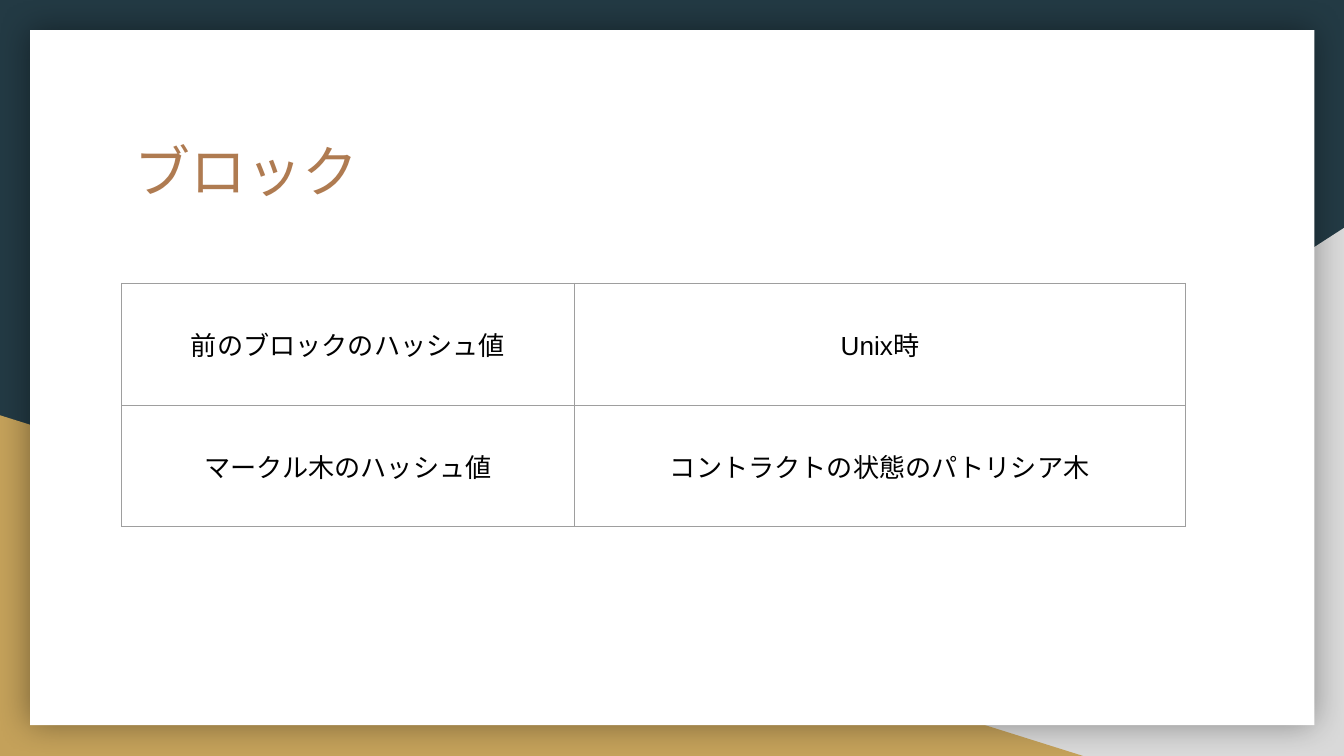
from dataclasses import dataclass

from lxml import etree
from pptx import Presentation
from pptx.dml.color import RGBColor
from pptx.enum.shapes import MSO_SHAPE
from pptx.enum.text import MSO_ANCHOR, PP_ALIGN
from pptx.oxml import parse_xml
from pptx.oxml.ns import nsdecls, qn
from pptx.shapes.autoshape import Shape
from pptx.slide import Slide
from pptx.table import _Cell
from pptx.util import Cm, Pt

RECT = MSO_SHAPE.RECTANGLE
WEDGE = MSO_SHAPE.RIGHT_TRIANGLE
TOP, MIDDLE = MSO_ANCHOR.TOP, MSO_ANCHOR.MIDDLE
CENTER = PP_ALIGN.CENTER

COLORS = {
    "navy": "233A44",
    "gray": "D9D9D9",
    "gold": "C4A15A",
    "white": "FFFFFF",
    "brown": "AF7B51",
    "black": "000000",
    "rule": "9E9E9E",
}
WIDE, HIGH = 25.4, 14.29
INSET = Cm(0.25)
COLS = (8.56, 11.54)
ROW = 2.3
CELLS = (
    ("前のブロックのハッシュ値", "Unix時"),
    ("マークル木のハッシュ値", "コントラクトの状態のパトリシア木"),
)


@dataclass
class Panel:
    kind: MSO_SHAPE
    left: float
    top: float
    width: float
    height: float
    color: str
    flip: bool = False
    glow: bool = False


PANELS = (
    Panel(WEDGE, 9.96, 4.31, 15.44, 9.98, "gray", flip=True),
    Panel(WEDGE, 0, 7.85, 20.47, 6.44, "gold"),
    Panel(RECT, 0.57, 0.57, 24.27, 13.14, "white", glow=True),
)


def rgb(name: str) -> RGBColor:
    return RGBColor.from_string(COLORS[name])


def add_glow(shape: Shape) -> None:
    """Put a soft, even shadow around the shape."""
    effects = shape._element.spPr.find(qn("a:effectLst"))
    effects.append(parse_xml(
        f'<a:outerShdw {nsdecls("a")} blurRad="{Pt(18)}" dist="0" dir="0" '
        f'algn="ctr" rotWithShape="0"><a:srgbClr val="{COLORS["black"]}">'
        '<a:alpha val="40000"/></a:srgbClr></a:outerShdw>'))


def draw_panel(slide: Slide, panel: Panel) -> None:
    shape = slide.shapes.add_shape(
        panel.kind, Cm(panel.left), Cm(panel.top), Cm(panel.width), Cm(panel.height))
    shape.shadow.inherit = False
    shape.fill.solid()
    shape.fill.fore_color.rgb = rgb(panel.color)
    shape.line.fill.background()
    if panel.flip:
        shape._element.spPr.find(qn("a:xfrm")).set("flipH", "1")
    if panel.glow:
        add_glow(shape)


def draw_title(slide: Slide, text: str) -> None:
    frame = slide.shapes.add_textbox(Cm(2.29), Cm(2.34), Cm(20.85), Cm(2.64)).text_frame
    frame.word_wrap = True
    frame.vertical_anchor = TOP
    frame.margin_left = frame.margin_right = INSET
    frame.margin_top = frame.margin_bottom = INSET
    line = frame.paragraphs[0]
    line.text = text
    line.font.name, line.font.size = "TeX Gyre Adventor", Pt(30)
    line.font.color.rgb = rgb("brown")


def add_rules(cell: _Cell) -> None:
    """Rule all four sides of the cell."""
    props = cell._tc.get_or_add_tcPr()
    for side in ("lnL", "lnR", "lnT", "lnB"):
        rule = etree.SubElement(props, qn(f"a:{side}"), w=str(Pt(0.75)))
        fill = etree.SubElement(rule, qn("a:solidFill"))
        etree.SubElement(fill, qn("a:srgbClr"), val=COLORS["rule"])


def fill_cell(cell: _Cell, text: str) -> None:
    add_rules(cell)
    cell.fill.background()
    cell.vertical_anchor = MIDDLE
    cell.margin_left = cell.margin_right = INSET
    cell.margin_top = cell.margin_bottom = INSET
    line = cell.text_frame.paragraphs[0]
    line.text = text
    line.alignment = CENTER
    line.font.name, line.font.size = "Arial", Pt(14)
    line.font.color.rgb = rgb("black")


def draw_table(slide: Slide) -> None:
    table = slide.shapes.add_table(
        len(CELLS), len(COLS), Cm(2.3), Cm(5.36),
        Cm(sum(COLS)), Cm(ROW * len(CELLS))).table
    table.first_row = table.horz_banding = False
    for col, width in zip(table.columns, COLS):
        col.width = Cm(width)
    for row, texts in zip(table.rows, CELLS):
        row.height = Cm(ROW)
        for cell, text in zip(row.cells, texts):
            fill_cell(cell, text)


def main() -> None:
    deck = Presentation()
    deck.slide_width, deck.slide_height = Cm(WIDE), Cm(HIGH)
    slide = deck.slides.add_slide(deck.slide_layouts[6])

    # Backdrop
    slide.background.fill.solid()
    slide.background.fill.fore_color.rgb = rgb("navy")
    for panel in PANELS:
        draw_panel(slide, panel)

    # Content
    draw_title(slide, "ブロック")
    draw_table(slide)
    deck.save("out.pptx")


if __name__ == "__main__":
    main()
